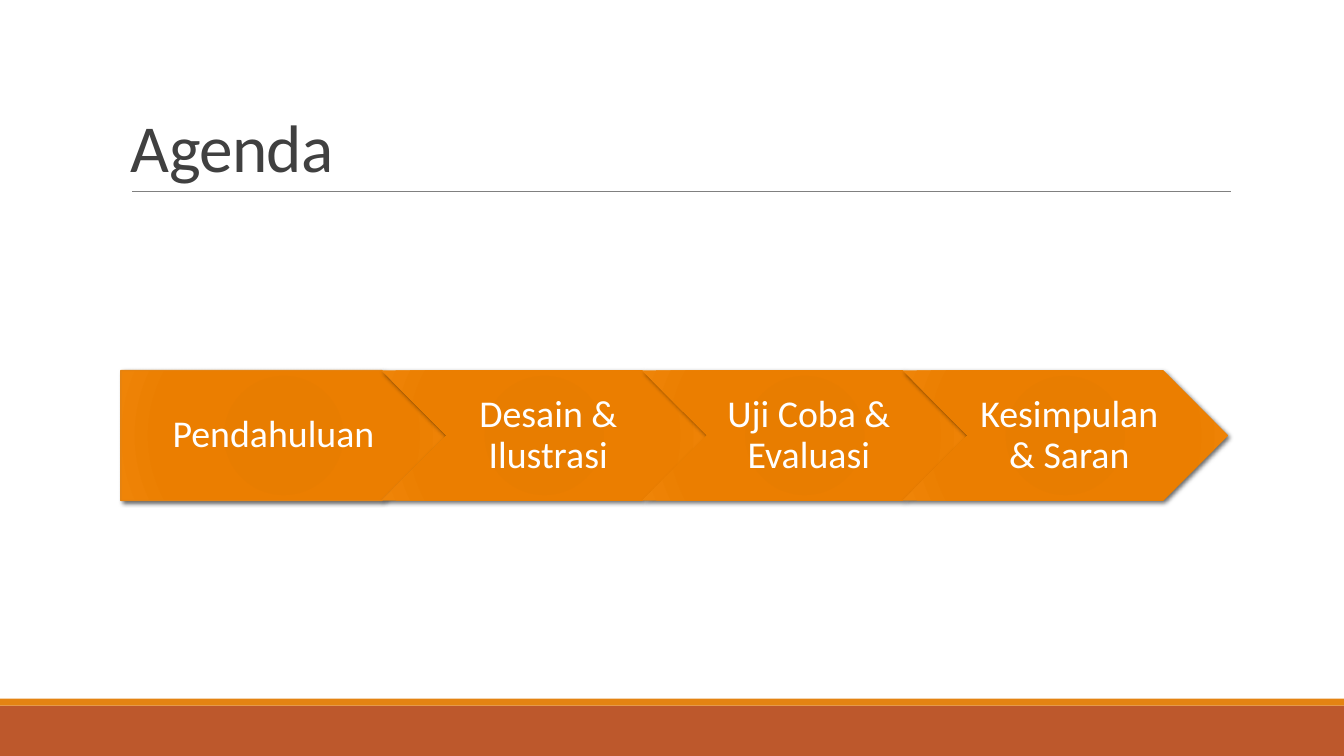
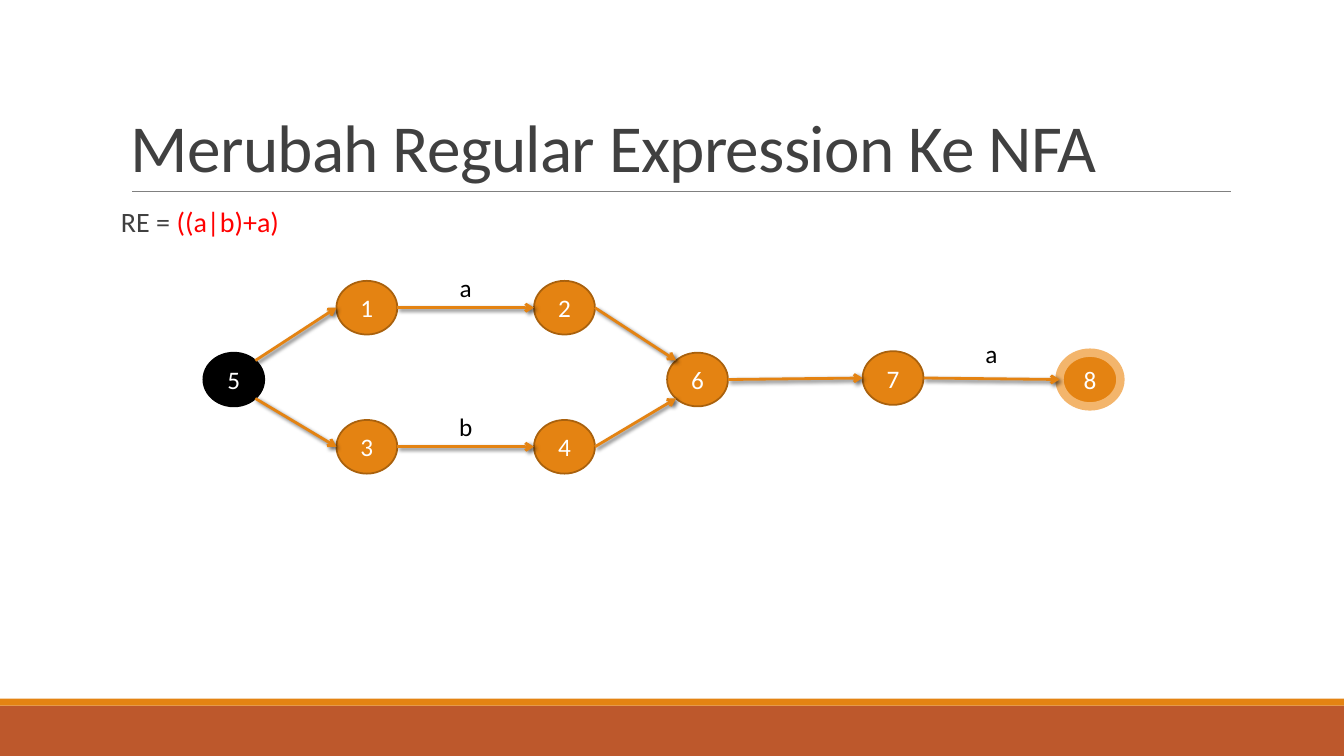
"""Build an agenda slide and a slide that turns a regular expression into an NFA."""

from dataclasses import dataclass
from math import cos, radians, sin

from lxml.etree import SubElement
from pptx import Presentation
from pptx.dml.color import RGBColor
from pptx.enum.shapes import MSO_CONNECTOR, MSO_SHAPE
from pptx.enum.text import MSO_ANCHOR, PP_ALIGN
from pptx.oxml import parse_xml
from pptx.oxml.ns import nsdecls, qn
from pptx.util import Inches, Pt


@dataclass(frozen=True)
class Theme:
    font: str = "Calibri"
    orange: RGBColor = RGBColor.from_string("E48312")
    rust: RGBColor = RGBColor.from_string("BD582C")
    brown: RGBColor = RGBColor.from_string("A9610D")
    peach: RGBColor = RGBColor.from_string("F3B56C")
    grey: RGBColor = RGBColor.from_string("808080")
    text: RGBColor = RGBColor.from_string("404040")
    red: RGBColor = RGBColor.from_string("FF0000")
    black: RGBColor = RGBColor.from_string("000000")
    white: RGBColor = RGBColor.from_string("FFFFFF")
    glow: tuple = ((0, "E57B00"), (34, "E87D00"), (70, "EB7E00"), (100, "EF8407"))
    title_size: int = 48
    step_size: int = 27
    body_size: int = 20
    node_size: int = 18


theme = Theme()
presentation = Presentation()
presentation.slide_width = Inches(13.33)
presentation.slide_height = Inches(7.5)
column = presentation.slide_width / 100
row = presentation.slide_height / 100


def write(shape, runs, size, alignment=PP_ALIGN.LEFT, anchor=MSO_ANCHOR.TOP,
          margins=(0.1, 0.05, 0.1, 0.05), line_spacing=1.0):
    frame = shape.text_frame
    frame.word_wrap = True
    frame.vertical_anchor = anchor
    frame.margin_left, frame.margin_top, frame.margin_right, frame.margin_bottom = map(Inches, margins)
    paragraph = frame.paragraphs[0]
    paragraph.alignment = alignment
    paragraph.line_spacing = line_spacing
    for text, color in runs:
        run = paragraph.add_run()
        run.text = text
        run.font.name = theme.font
        run.font.size = Pt(size)
        run.font.color.rgb = color
    return paragraph


def set_shadow(shape, blur=None):
    effects = SubElement(shape._element.spPr, qn("a:effectLst"))
    if blur:
        effects.append(parse_xml(
            f'<a:outerShdw {nsdecls("a")} blurRad="{Pt(blur)}" dist="{Pt(2)}" dir="2700000" '
            'algn="br" rotWithShape="0"><a:srgbClr val="000000"><a:alpha val="60000"/>'
            '</a:srgbClr></a:outerShdw>'))


slides = []
for title in ("Agenda", "Merubah Regular Expression Ke NFA"):
    slide = presentation.slides.add_slide(presentation.slide_layouts[6])
    slides.append(slide)
    for top, height, color in ((93.33, 6.67, theme.rust), (92.4, 0.93, theme.orange)):
        band = slide.shapes.add_shape(
            MSO_SHAPE.RECTANGLE, 0, int(top * row), presentation.slide_width, int(height * row))
        band.fill.solid()
        band.fill.fore_color.rgb = color
        band.line.fill.background()
        band.shadow.inherit = False
    rule = slide.shapes.add_connector(
        MSO_CONNECTOR.STRAIGHT, int(9.83 * column), int(25.33 * row), int(91.6 * column), int(25.33 * row))
    rule.line.color.rgb = theme.grey
    rule.line.width = Pt(0.5)
    set_shadow(rule)
    title_box = slide.shapes.add_textbox(
        int(9 * column), int(4.13 * row), int(82.5 * column), int(21.2 * row))
    paragraph = write(title_box, [(title, theme.text)], theme.title_size,
                      anchor=MSO_ANCHOR.BOTTOM, line_spacing=0.85)
    paragraph.runs[0]._r.get_or_add_rPr().set("spc", "-50")

agenda_slide, automaton_slide = slides

steps = ("Pendahuluan", "Desain & Ilustrasi", "Uji Coba & Evaluasi", "Kesimpulan & Saran")
step_width = 24.23
stops = "".join(f'<a:gs pos="{position * 1000}"><a:srgbClr val="{color}"/></a:gs>'
                for position, color in theme.glow)
for index, label in enumerate(steps):
    first = index == 0
    step = agenda_slide.shapes.add_shape(
        MSO_SHAPE.PENTAGON if first else MSO_SHAPE.CHEVRON,
        int((9 + index * step_width * 0.8) * column), int(49 * row),
        int(step_width * column), int(17.2 * row))
    step._element.spPr.find(qn("a:prstGeom")).addnext(parse_xml(
        f'<a:gradFill {nsdecls("a")} rotWithShape="1"><a:gsLst>{stops}</a:gsLst><a:path path="circle">'
        '<a:fillToRect l="100000" t="100000" r="100000" b="100000"/></a:path></a:gradFill>'))
    if first:
        step.line.color.rgb = theme.orange
        step.line.width = Pt(1)
    else:
        step.line.fill.background()
    set_shadow(step, 3 if first else 3.5)
    write(step, [(label, theme.white)], theme.step_size, PP_ALIGN.CENTER, MSO_ANCHOR.MIDDLE,
          (0.16 if first else 0.12, 0.08, 0.04, 0.08), 0.9)

expression_box = automaton_slide.shapes.add_textbox(
    int(9 * column), int(26.93 * row), int(82.5 * column), int(58.67 * row))
write(expression_box, [("RE = ", theme.text), ("((a|b)+a)", theme.red)], theme.body_size,
      margins=(0, 0.05, 0, 0.05), line_spacing=0.9)

node_width, node_height = 4.53, 7.1
upper, middle, lower = 40.7, 50.2, 59.1
centres = {"1": (27.3, upper), "2": (42, upper), "3": (27.3, lower), "4": (42, lower),
           "5": (17.4, middle), "6": (51.9, middle), "7": (66.45, 50), "8": (81.1, middle)}
styles = {"5": (theme.black, theme.black, 1.25), "8": (theme.orange, theme.peach, 6)}
nodes = {}
for name, (x, y) in centres.items():
    fill, outline, outline_width = styles.get(name, (theme.orange, theme.brown, 1.25))
    node = automaton_slide.shapes.add_shape(
        MSO_SHAPE.OVAL, int((x - node_width / 2) * column), int((y - node_height / 2) * row),
        int(node_width * column), int(node_height * row))
    node.fill.solid()
    node.fill.fore_color.rgb = fill
    node.line.color.rgb = outline
    node.line.width = Pt(outline_width)
    node.shadow.inherit = False
    write(node, [(name, theme.white)], theme.node_size, PP_ALIGN.CENTER, MSO_ANCHOR.MIDDLE)
    nodes[name] = node

top_left, left, bottom_left, bottom_right, right, top_right = 1, 2, 3, 5, 6, 7
label_height = 5.33
transitions = (
    ("5", top_right, "1", left, "", 0), ("5", bottom_right, "3", left, "", 0),
    ("1", right, "2", left, "a", 0), ("3", right, "4", left, "b", 0),
    ("2", right, "6", top_left, "", 0), ("4", right, "6", bottom_left, "", 0),
    ("6", right, "7", left, "", 0), ("7", right, "8", left, "a", 0.6),
)
for source, source_site, target, target_site, label, lift in transitions:
    ends = []
    for name, site in ((source, source_site), (target, target_site)):
        angle = radians(90 + 45 * site)
        x, y = centres[name]
        ends.append((x + node_width / 2 * cos(angle), y - node_height / 2 * sin(angle)))
    (x1, y1), (x2, y2) = ends
    arrow = automaton_slide.shapes.add_connector(
        MSO_CONNECTOR.STRAIGHT, int(x1 * column), int(y1 * row), int(x2 * column), int(y2 * row))
    arrow.line.color.rgb = theme.orange
    arrow.line.width = Pt(2)
    SubElement(arrow.line._get_or_add_ln(), qn("a:tailEnd"), type="arrow")
    set_shadow(arrow, 3)
    for tag, name, site in (("a:stCxn", source, source_site), ("a:endCxn", target, target_site)):
        SubElement(arrow._element.nvCxnSpPr.cNvCxnSpPr, qn(tag),
                   id=str(nodes[name].shape_id), idx=str(site))
    if label:
        label_box = automaton_slide.shapes.add_textbox(
            int(((x1 + x2) / 2 - node_width / 2) * column), int((y1 - label_height - lift) * row),
            int(node_width * column), int(label_height * row))
        write(label_box, [(label, theme.black)], theme.node_size, PP_ALIGN.CENTER)

presentation.save("out.pptx")
